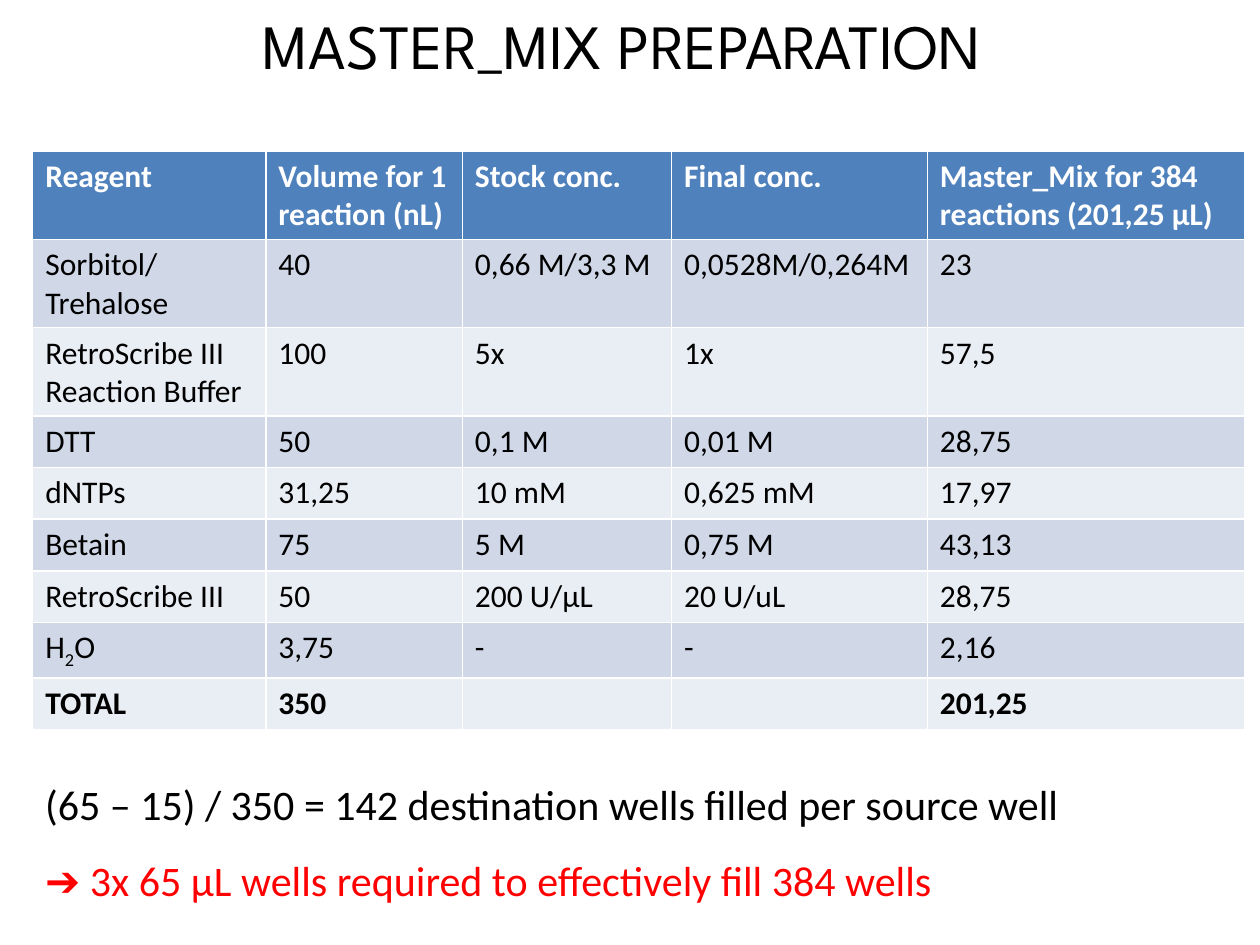
"""Build the master mix preparation slide."""
from pptx import Presentation as Deck
from pptx.dml.color import RGBColor as Color
from pptx.enum.text import PP_ALIGN as Align
from pptx.util import Inches, Pt

BLACK = Color(0x00, 0x00, 0x00)
WHITE = Color(0xFF, 0xFF, 0xFF)
RED = Color(0xFF, 0x00, 0x00)
BLUE = Color(0x4F, 0x81, 0xBD)
BANDS = Color(0xE9, 0xED, 0xF4), Color(0xD0, 0xD8, 0xE8)

BODY = {"name": "Calibri", "size": Pt(18), "bold": False}
HEAD = {**BODY, "bold": True}
NOTE = {**BODY, "size": Pt(24)}
TITLE = {"name": "League Spartan", "size": Pt(36), "bold": False}

WIDTHS = 1.85, 1.56, 1.66, 2.03, 2.52
HIGH = 0.41
ROWS = [
    ["Reagent", "Volume for 1 reaction (nL)", "Stock conc.", "Final conc.",
     "Master_Mix for 384 reactions (201,25 μL)"],
    ["Sorbitol/Trehalose", "40", "0,66 M/3,3 M", "0,0528M/0,264M", "23"],
    ["RetroScribe III Reaction Buffer", "100", "5x", "1x", "57,5"],
    ["DTT", "50", "0,1 M", "0,01 M", "28,75"],
    ["dNTPs", "31,25", "10 mM", "0,625 mM", "17,97"],
    ["Betain", "75", "5 M", "0,75 M", "43,13"],
    ["RetroScribe III", "50", "200 U/μL", "20 U/uL", "28,75"],
    [("H", "2", "O"), "3,75", "-", "-", "2,16"],
    ["TOTAL", "350", "", "", "201,25"],
]


def add_run(para, text, look, color):
    """Add a run with the given font values."""
    run = para.add_run()
    run.text = text
    for key, value in look.items():
        setattr(run.font, key, value)
    run.font.color.rgb = color
    return run


def add_box(slide, place, lines, look, align=Align.LEFT, gap=0):
    """Add a text box with one paragraph for each text and colour."""
    frame = slide.shapes.add_textbox(*map(Inches, place)).text_frame
    frame.word_wrap = True
    for num, (text, color) in enumerate(lines):
        para = frame.add_paragraph() if num else frame.paragraphs[0]
        para.alignment = align
        para.space_before = Pt(gap if num else 0)
        add_run(para, text, look, color)


def fill_cell(cell, text, look, color, fill):
    """Fill a cell; the middle part of a tuple is a subscript."""
    cell.fill.solid()
    cell.fill.fore_color.rgb = fill
    para = cell.text_frame.paragraphs[0]
    parts = text if isinstance(text, tuple) else (text,)
    for num, part in enumerate(parts):
        if part:
            run = add_run(para, part, look, color)
            if num == 1:
                run.font._element.set("baseline", "-25000")


def add_grid(slide, left, top):
    """Add the reagent table."""
    table = slide.shapes.add_table(
        len(ROWS), len(WIDTHS), Inches(left), Inches(top),
        Inches(sum(WIDTHS)), Inches(HIGH * len(ROWS))).table
    for col, width in zip(table.columns, WIDTHS):
        col.width = Inches(width)
    last = len(ROWS) - 1
    for num, (row, texts) in enumerate(zip(table.rows, ROWS)):
        row.height = Inches(HIGH)
        look = HEAD if num in (0, last) else BODY
        color, fill = (BLACK, BANDS[num % 2]) if num else (WHITE, BLUE)
        for cell, text in zip(row.cells, texts):
            fill_cell(cell, text, look, color, fill)


def main():
    """Build and save the slide."""
    deck = Deck()
    deck.slide_width, deck.slide_height = Inches(10), Inches(7.5)
    slide = deck.slides.add_slide(deck.slide_layouts[6])
    add_box(slide, (0, 0, 10, 0.71), [("MASTER_MIX PREPARATION ", BLACK)],
            TITLE, Align.CENTER)
    add_grid(slide, 0.26, 1.2)
    add_box(slide, (0.26, 6.13, 8.89, 1.11), [
        ("(65 – 15) / 350 = 142 destination wells filled per source well",
         BLACK),
        ("➔ 3x 65 μL wells required to effectively fill 384 wells", RED),
    ], NOTE, gap=14.6)
    deck.save("out.pptx")


if __name__ == "__main__":
    main()
